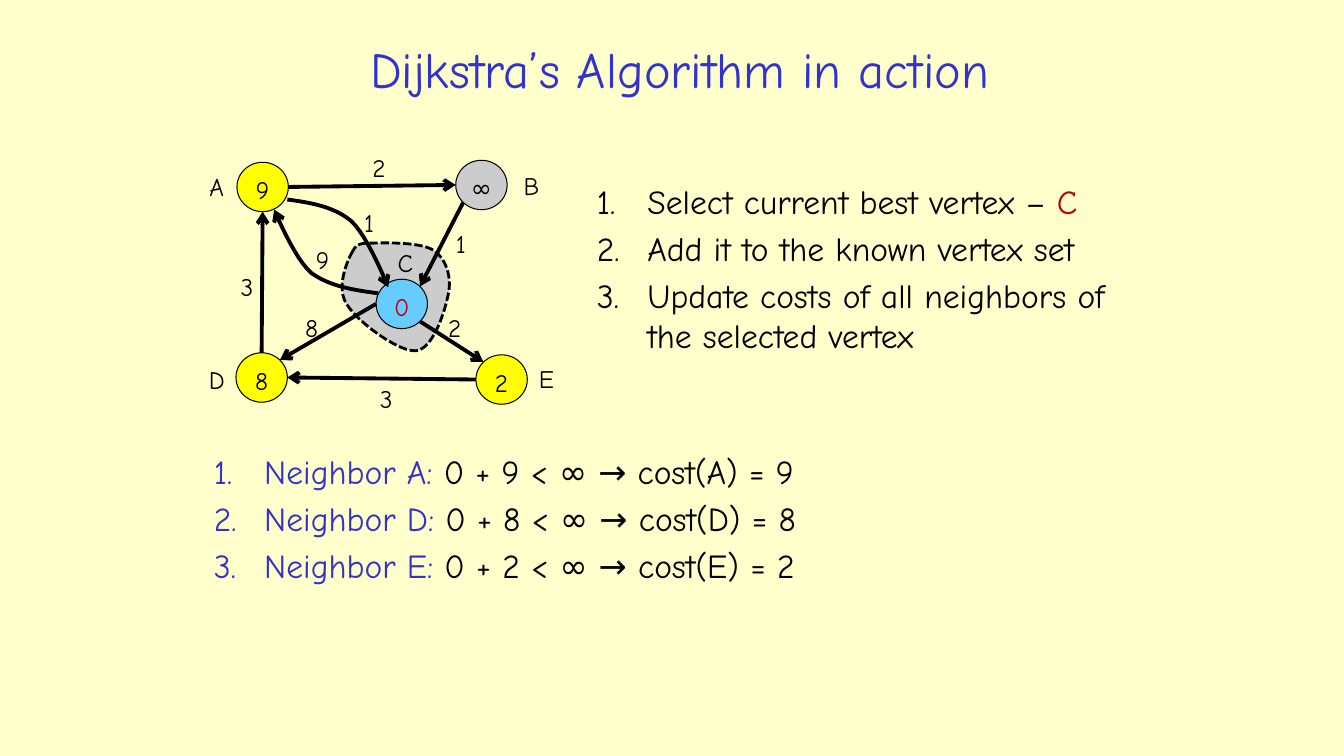
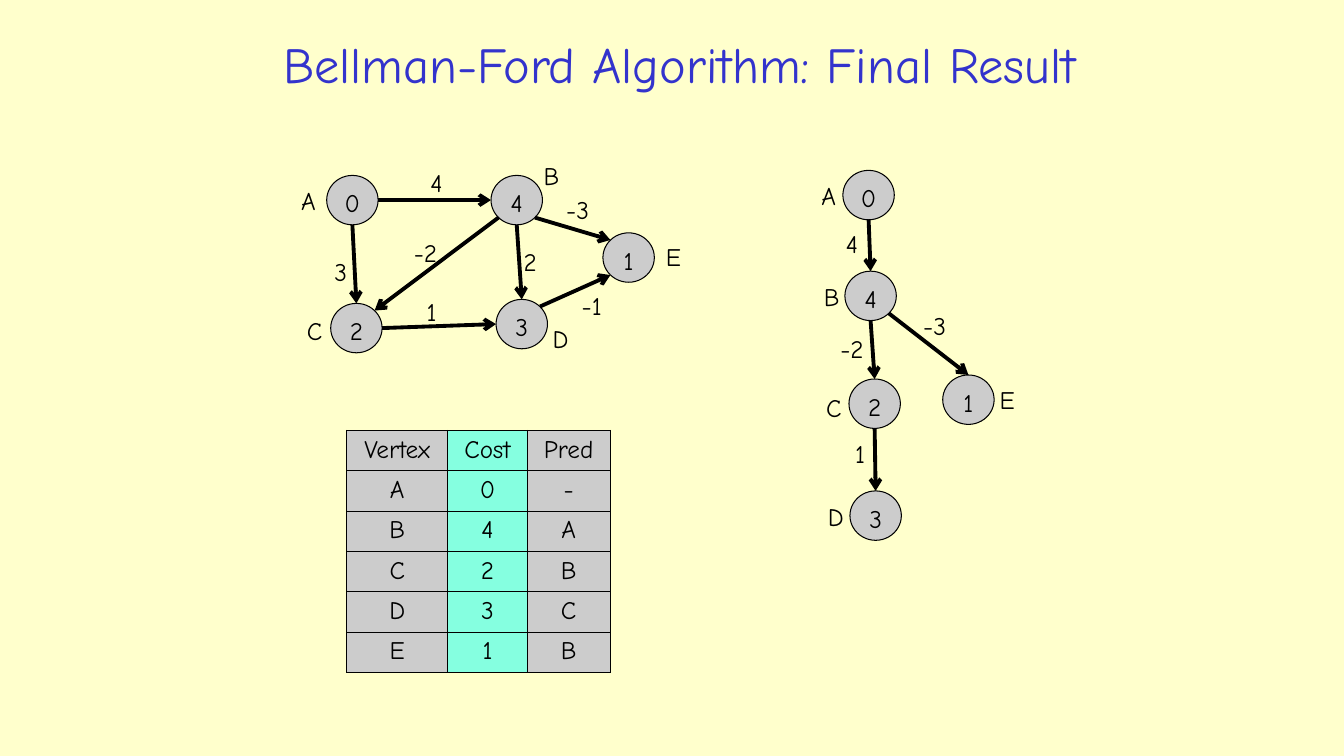
from lxml import etree
from pptx import Presentation
from pptx.dml.color import RGBColor
from pptx.enum.dml import MSO_LINE
from pptx.enum.shapes import MSO_CONNECTOR, MSO_SHAPE
from pptx.enum.text import MSO_ANCHOR, MSO_AUTO_SIZE, PP_ALIGN
from pptx.oxml.ns import qn
from pptx.util import Inches, Pt

CREAM = RGBColor(0xFF, 0xFF, 0xCC)
BLUE = RGBColor(0x33, 0x33, 0xCC)
BLACK = RGBColor(0, 0, 0)
RED = RGBColor(0xC0, 0, 0)
GRAY = RGBColor(0xCC, 0xCC, 0xCC)
SKY = RGBColor(0x66, 0xCC, 0xFF)
YELLOW = RGBColor(0xFF, 0xFF, 0)
MINT = RGBColor(0x85, 0xFF, 0xE0)

FONT = "Comic Neue"
LEFT, CENTER = PP_ALIGN.LEFT, PP_ALIGN.CENTER
TOP, MIDDLE = MSO_ANCHOR.TOP, MSO_ANCHOR.MIDDLE
STRAIGHT = MSO_CONNECTOR.STRAIGHT
OVAL = MSO_SHAPE.OVAL
DASH = MSO_LINE.SQUARE_DOT
FIXED = MSO_AUTO_SIZE.NONE

NODE_W, NODE_H = 0.51, 0.49
LABEL_W, LABEL_H = 0.36, 0.4
THIN, THICK = Pt(0.75), Pt(2.75)
SIDES = {"N": (0, -1), "S": (0, 1), "E": (1, 0), "W": (-1, 0),
         "NE": (0.71, -0.71), "NW": (-0.71, -0.71),
         "SE": (0.71, 0.71), "SW": (-0.71, 0.71)}

# Nodes: name, left, top, cost, fill, cost colour
# Edges: from, side, to, side
# Labels: text, centre x, centre y
SEARCH = {
    "nodes": [("A", 2.35, 1.61, "9", YELLOW, BLACK),
              ("B", 4.52, 1.59, "∞", GRAY, BLACK),
              ("C", 3.73, 2.77, "0", SKY, RED),
              ("D", 2.34, 3.5, "8", YELLOW, BLACK),
              ("E", 4.72, 3.52, "2", YELLOW, BLACK)],
    "edges": ["A E B W", "D N A S", "C W D NE", "B SW C NE",
              "E W D E", "C SE E NW"],
    "labels": [("A", 2.15, 1.85), ("B", 5.27, 1.84), ("C", 4.02, 2.6),
               ("D", 2.15, 3.77), ("E", 5.42, 3.76),
               ("3", 2.45, 2.84), ("9", 3.2, 2.57), ("1", 3.66, 2.21),
               ("2", 3.76, 1.66), ("1", 4.57, 2.42), ("2", 4.51, 3.25),
               ("8", 3.09, 3.25), ("3", 3.83, 3.95)],
}
KNOWN = [(3.5, 2.49),
         (3.44, 2.59), (3.33, 2.86), (3.44, 3.02),
         (3.54, 3.19), (3.96, 3.5), (4.13, 3.48),
         (4.3, 3.46), (4.42, 3.07), (4.45, 2.9),
         (4.48, 2.74), (4.42, 2.57), (4.31, 2.49),
         (4.2, 2.41), (3.91, 2.41), (3.77, 2.41),
         (3.63, 2.42), (3.55, 2.39), (3.5, 2.49)]
BENDS = [
    [(3.75, 2.91), (3.51, 2.88), (3.27, 2.84), (3.09, 2.71),
     (2.92, 2.57), (2.72, 2.08), (2.72, 2.08)],
    [(2.85, 1.98), (3.08, 2.01), (3.31, 2.05), (3.48, 2.19),
     (3.65, 2.34), (3.85, 2.85), (3.85, 2.85)],
]
STEPS = [[("Select current best vertex – ", BLACK), ("C", RED)],
         "Add it to the known vertex set",
         "Update costs of all neighbors of the selected vertex"]
COSTS = [[(f"Neighbor {name}: ", BLUE),
          (f"0 + {cost} < ∞ → cost({name}) = {cost}", BLACK)]
         for name, cost in (("A", 9), ("D", 8), ("E", 2))]

GRAPH = {
    "nodes": [("A", 3.24, 1.74, "0", GRAY, BLACK),
              ("B", 4.87, 1.74, "4", GRAY, BLACK),
              ("C", 3.28, 3.01, "2", GRAY, BLACK),
              ("D", 4.92, 2.97, "3", GRAY, BLACK),
              ("E", 5.98, 2.31, "1", GRAY, BLACK)],
    "edges": ["A E B W", "C E D W", "B SW C NE", "A S C N",
              "B S D N", "B SE E NW", "D NE E SW"],
    "labels": [("A", 3.06, 1.99), ("B", 5.47, 1.74), ("C", 3.12, 3.28),
               ("D", 5.56, 3.36), ("E", 6.68, 2.54),
               ("4", 4.33, 1.81), ("3", 3.38, 2.69), ("1", 4.28, 3.09),
               ("-2", 4.22, 2.51), ("2", 5.26, 2.59),
               ("-3", 5.73, 2.08), ("-1", 5.87, 3.03)],
}
TREE = {
    "nodes": [("A", 8.36, 1.69, "0", GRAY, BLACK),
              ("B", 8.38, 2.69, "4", GRAY, BLACK),
              ("C", 8.42, 3.76, "2", GRAY, BLACK),
              ("D", 8.43, 4.87, "3", GRAY, BLACK),
              ("E", 9.35, 3.72, "1", GRAY, BLACK)],
    "edges": ["A S B N", "B S C N", "C S D N", "B SE E N"],
    "labels": [("A", 8.22, 1.94), ("B", 8.25, 2.94), ("C", 8.27, 4.04),
               ("D", 8.29, 5.12), ("E", 9.99, 3.96),
               ("4", 8.45, 2.42), ("-2", 8.45, 3.46), ("1", 8.53, 4.5),
               ("-3", 9.27, 3.23)],
}
TABLE = [("Vertex", "Cost", "Pred"), ("A", "0", "-"), ("B", "4", "A"),
         ("C", "2", "B"), ("D", "3", "C"), ("E", "1", "B")]
COLS = [(1.0, GRAY), (0.79, MINT), (0.82, GRAY)]
ROW_H = 0.4


def write(frame, paras, size=18, color=BLACK, align=CENTER, anchor=TOP,
          wrap=True, numbered=False):
    """Fill a text frame; a paragraph is a string or a list of (text, colour)."""
    frame.word_wrap = wrap
    frame.auto_size = FIXED
    frame.vertical_anchor = anchor
    for i, runs in enumerate(paras):
        para = frame.add_paragraph() if i else frame.paragraphs[0]
        if numbered:
            props = para._p.get_or_add_pPr()
            props.set("marL", str(Inches(0.5)))
            props.set("indent", str(-Inches(0.5)))
            etree.SubElement(props, qn("a:buFont"), typeface="+mj-lt")
            etree.SubElement(props, qn("a:buAutoNum"), type="arabicPeriod")
        para.alignment = align
        para.space_before = Pt(0.2 * size if i else 0)
        for text, tint in [(runs, color)] if isinstance(runs, str) else runs:
            run = para.add_run()
            run.text = text
            run.font.name = FONT
            run.font.size = Pt(size)
            run.font.color.rgb = tint


def place(shape, *box):
    shape.left, shape.top, shape.width, shape.height = map(Inches, box)
    return shape.text_frame


def stroke(shape, width, arrow=False):
    shape.line.color.rgb = BLACK
    shape.line.width = width
    if arrow:
        line = shape.element.spPr.find(qn("a:ln"))
        etree.SubElement(line, qn("a:tailEnd"), type="arrow")


def trace(points, count=12):
    """Sample a chain of cubic curves, in EMU."""
    spots = [points[0]]
    for i in range(0, len(points) - 1, 3):
        for step in range(1, count + 1):
            t = step / count
            parts = ((1 - t) ** 3, 3 * t * (1 - t) ** 2,
                     3 * t * t * (1 - t), t ** 3)
            spots.append([sum(w * p[axis] for w, p in zip(parts, points[i:i + 4]))
                          for axis in (0, 1)])
    return [(Inches(x), Inches(y)) for x, y in spots]


def curve(slide, points, close=False):
    start, *rest = trace(points)
    form = slide.shapes.build_freeform(*start)
    form.add_line_segments(rest, close=close)
    shape = form.convert_to_shape()
    shape.shadow.inherit = False
    return shape


def draw(slide, net):
    """Draw the nodes, edges and labels of one network."""
    mid = {}
    for name, x, y, cost, fill, tint in net["nodes"]:
        node = slide.shapes.add_shape(
            OVAL, Inches(x), Inches(y), Inches(NODE_W), Inches(NODE_H))
        node.shadow.inherit = False
        node.fill.solid()
        node.fill.fore_color.rgb = fill
        stroke(node, THIN)
        write(node.text_frame, [cost], color=tint, wrap=False)
        mid[name] = x + NODE_W / 2, y + NODE_H / 2

    def port(name, side):
        (x, y), (dx, dy) = mid[name], SIDES[side]
        return Inches(x + dx * NODE_W / 2), Inches(y + dy * NODE_H / 2)

    for edge in net["edges"]:
        tail, out, head, into = edge.split()
        link = slide.shapes.add_connector(
            STRAIGHT, *port(tail, out), *port(head, into))
        stroke(link, THICK, arrow=True)
        etree.SubElement(link.element.spPr, qn("a:effectLst"))

    for text, x, y in net["labels"]:
        box = slide.shapes.add_textbox(0, 0, 0, 0)
        write(place(box, x - LABEL_W / 2, y - LABEL_H / 2, LABEL_W, LABEL_H),
              [text], wrap=False)


def grid(slide, x, y):
    """Add the cost table."""
    table = slide.shapes.add_table(
        len(TABLE), len(COLS), Inches(x), Inches(y),
        Inches(sum(w for w, _ in COLS)), Inches(ROW_H * len(TABLE))).table
    for col, (width, _) in zip(table.columns, COLS):
        col.width = Inches(width)
    for r, row in enumerate(TABLE):
        table.rows[r].height = Inches(ROW_H)
        for c, text in enumerate(row):
            cell = table.cell(r, c)
            cell.margin_bottom = 0
            write(cell.text_frame, [text])
            props = cell._tc.get_or_add_tcPr()
            for edge in ("lnL", "lnR", "lnT", "lnB"):
                line = etree.SubElement(props, qn("a:" + edge), w=str(THIN))
                ink = etree.SubElement(line, qn("a:solidFill"))
                etree.SubElement(ink, qn("a:srgbClr"), val=str(BLACK))
            cell.fill.solid()
            cell.fill.fore_color.rgb = COLS[c][1]


def start(deck, layout, title, top, height):
    slide = deck.slides.add_slide(deck.slide_layouts.get_by_name(layout))
    write(place(slide.shapes.title, 1.97, top, 9.54, height), [title],
          size=36, color=BLUE, anchor=MIDDLE)
    return slide


def main():
    deck = Presentation()
    deck.slide_width, deck.slide_height = Inches(13.33), Inches(7.5)
    back = deck.slide_master.background.fill
    back.solid()
    back.fore_color.rgb = CREAM

    slide = start(deck, "Two Content", "Dijkstra’s Algorithm in action", 0.3, 0.76)
    known = curve(slide, KNOWN, close=True)
    known.fill.solid()
    known.fill.fore_color.rgb = GRAY
    stroke(known, Pt(2))
    known.line.dash_style = DASH
    draw(slide, SEARCH)
    for points in BENDS:
        bend = curve(slide, points)
        bend.fill.background()
        stroke(bend, THICK, arrow=True)
    for idx, paras, box in ((1, STEPS, (5.82, 1.74, 5.71, 2.04)),
                            (2, COSTS, (2.02, 4.42, 9.32, 2.04))):
        write(place(slide.placeholders[idx], *box), paras,
              size=24, align=LEFT, numbered=True)

    slide = start(deck, "Title Only", "Bellman-Ford Algorithm: Final Result",
                  0.15, 0.96)
    draw(slide, GRAPH)
    draw(slide, TREE)
    grid(slide, 3.44, 4.27)
    deck.save("out.pptx")


if __name__ == "__main__":
    main()
